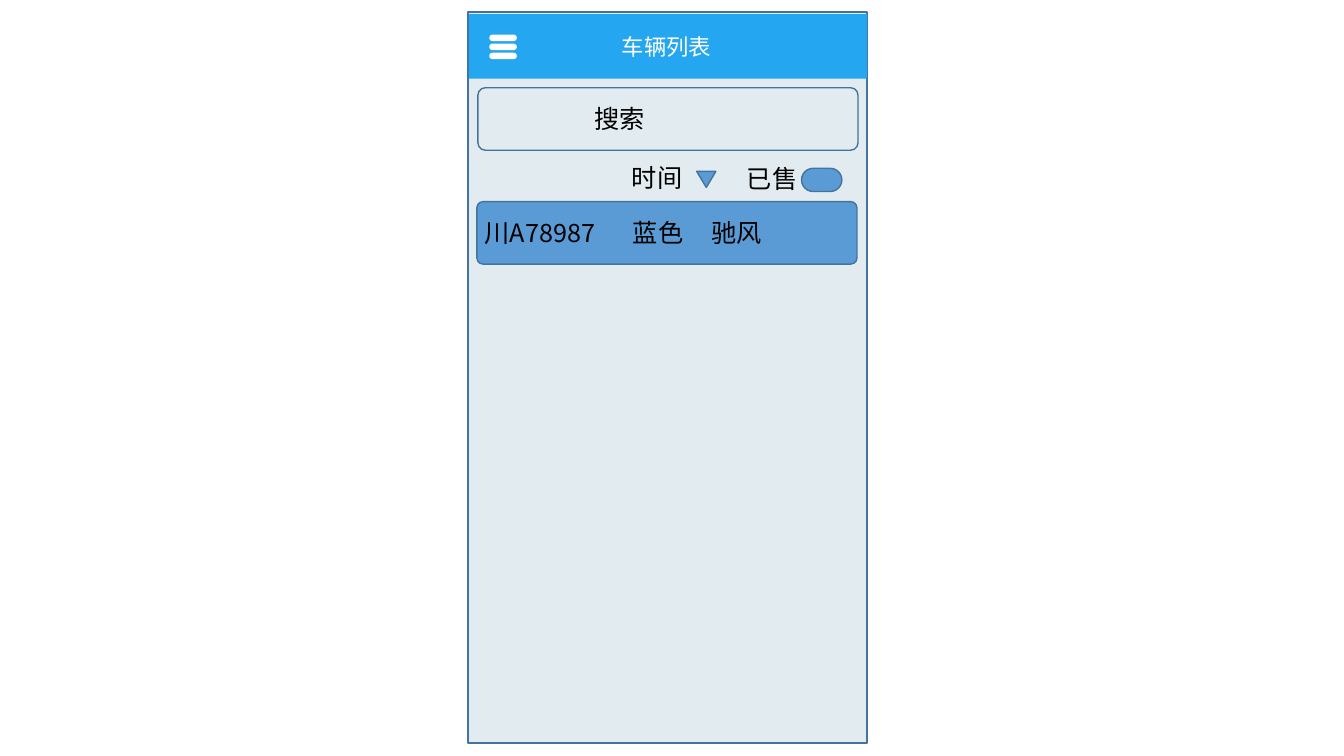
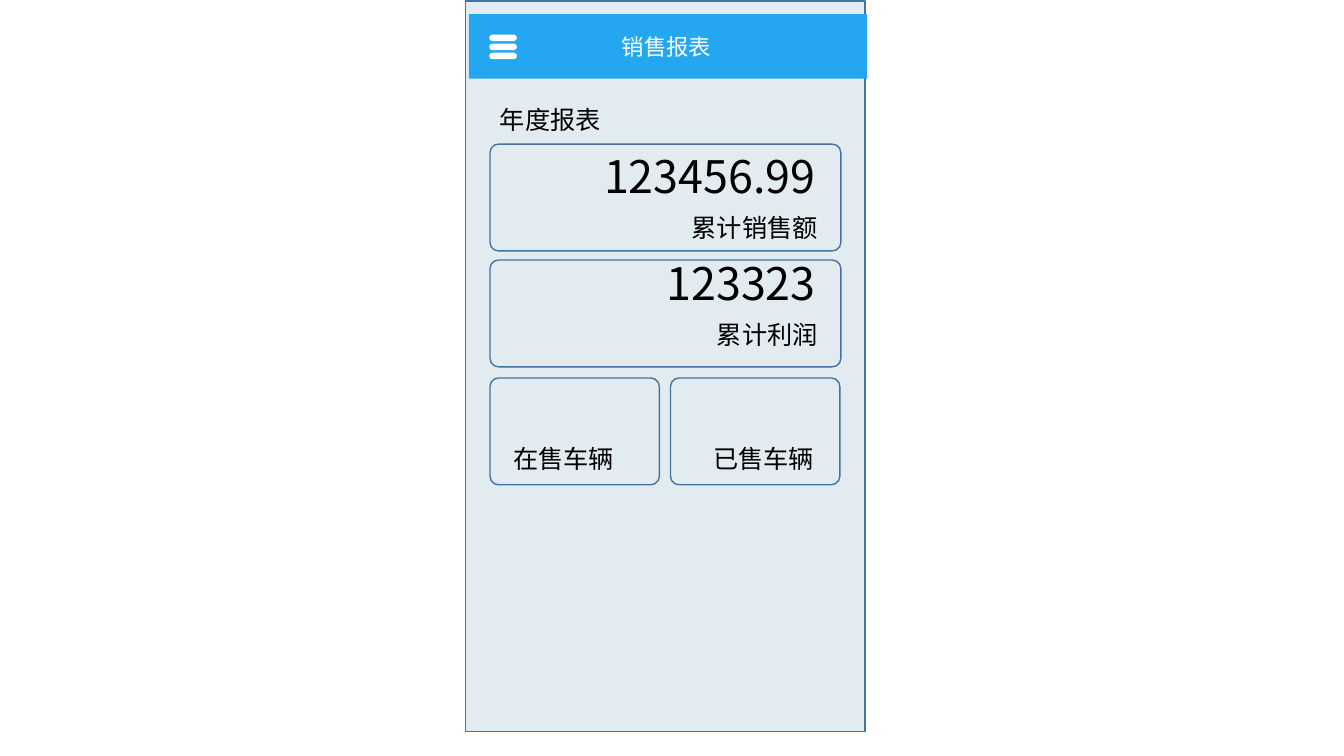
from dataclasses import dataclass
from lxml.etree import SubElement
from pptx import Presentation
from pptx.dml.color import RGBColor
from pptx.enum.shapes import MSO_SHAPE
from pptx.enum.text import MSO_ANCHOR, MSO_AUTO_SIZE, PP_ALIGN
from pptx.oxml.ns import qn
from pptx.util import Inches, Pt

SLIDE_WIDTH, SLIDE_HEIGHT = Inches(13.33), Inches(7.5)
COLUMNS, ROWS = 1333, 750
FONT = "Noto Sans CJK SC"
BODY_SIZE, TITLE_SIZE, FIGURE_SIZE = 18, 16, 32

BLACK = RGBColor(0x00, 0x00, 0x00)
WHITE = RGBColor(0xFF, 0xFF, 0xFF)
SCREEN = RGBColor(0xE2, 0xEC, 0xF0)
HEADER = RGBColor(0x24, 0xA6, 0xF1)
ACCENT = RGBColor(0x5B, 0x9B, 0xD5)
OUTLINE = RGBColor(0x43, 0x73, 0x9E)


@dataclass
class Box:
    left: int
    top: int
    width: int
    height: int

    def inner(self, left, top, width, height):
        return Box(self.left + left, self.top + top, width, height)

    def place(self):
        across, down = SLIDE_WIDTH / COLUMNS, SLIDE_HEIGHT / ROWS
        return (round(self.left * across), round(self.top * down),
                round(self.width * across), round(self.height * down))


def add_panel(page, box, kind=MSO_SHAPE.RECTANGLE, fill=None, line=OUTLINE, corner=None):
    panel = page.shapes.add_shape(kind, *box.place())
    panel.shadow.inherit = False
    if corner is not None:
        panel.adjustments[0] = corner
    if fill is None:
        panel.fill.background()
    else:
        panel.fill.solid()
        panel.fill.fore_color.rgb = fill
    if line is None:
        panel.line.fill.background()
    else:
        panel.line.color.rgb = line
        panel.line.width = Pt(1)
    return panel


def add_rounded(page, box, corner, fill=None, line=OUTLINE):
    return add_panel(page, box, MSO_SHAPE.ROUNDED_RECTANGLE, fill, line, corner)


def write(frame, text, size, color, align):
    frame.word_wrap = True
    frame.auto_size = MSO_AUTO_SIZE.NONE
    frame.vertical_anchor = MSO_ANCHOR.TOP
    para = frame.paragraphs[0]
    para.alignment = align
    span = para.add_run()
    span.text = text
    span.font.size = Pt(size)
    span.font.color.rgb = color
    span.font.name = FONT
    SubElement(span._r.get_or_add_rPr(), qn("a:ea")).set("typeface", FONT)


def add_label(page, box, text, size=BODY_SIZE, align=PP_ALIGN.LEFT):
    label = page.shapes.add_textbox(*box.place())
    write(label.text_frame, text, size, BLACK, align)


def draw_header(page, box, text):
    add_panel(page, box, fill=HEADER, line=None)
    for bar in range(3):
        add_rounded(page, box.inner(21, 21 + 9 * bar, 26, 5), 0.5, WHITE, WHITE)
    title = page.shapes.title
    title.left, title.top, title.width, title.height = box.inner(124, 14, 144, 37).place()
    write(title.text_frame, text, TITLE_SIZE, WHITE, PP_ALIGN.CENTER)
    title.element.getparent().append(title.element)


def add_screen(deck, text, left, top):
    page = deck.slides.add_slide(deck.slide_layouts[5])
    add_panel(page, Box(left, top, 396, 725), fill=SCREEN)
    draw_header(page, Box(465, 14, 395, 64), text)
    return page


def draw_search(page, box):
    add_rounded(page, box, 0.12)
    add_label(page, box.inner(106, 11, 173, 40), "搜索")


def draw_filters(page, box):
    add_label(page, box.inner(0, 0, 77, 40), "时间")
    arrow = add_panel(page, box.inner(74, 14, 19, 16), MSO_SHAPE.ISOSCELES_TRIANGLE, ACCENT)
    arrow.rotation = 180
    add_label(page, box.inner(114, 1, 85, 40), "已售")
    add_rounded(page, box.inner(178, 11, 40, 23), 0.5, ACCENT)


def draw_vehicle(page, box, plate, color, model):
    add_rounded(page, box, 0.1, ACCENT)
    for text, left, width in ((plate, -2, 137), (color, 145, 70), (model, 223, 70)):
        add_label(page, box.inner(left, 11, width, 40), text)


def draw_total(page, box, figure, caption, lift):
    add_rounded(page, box, 0.08)
    add_label(page, box.inner(35, -lift, 298, 64), figure, FIGURE_SIZE, PP_ALIGN.RIGHT)
    add_label(page, box.inner(15, 63 - lift, 320, 40), caption, align=PP_ALIGN.RIGHT)


def draw_tile(page, box, caption, inset, align):
    add_rounded(page, box, 0.08)
    add_label(page, box.inner(inset, 60, 153, 40), caption, align=align)


def build_vehicle_list(deck):
    page = add_screen(deck, "车辆列表", 464, 12)
    draw_search(page, Box(474, 87, 377, 62))
    draw_filters(page, Box(617, 156, 218, 41))
    draw_vehicle(page, Box(473, 200, 377, 62), "川A78987", "蓝色", "驰风")


def build_sales_report(deck):
    page = add_screen(deck, "销售报表", 462, 1)
    report = Box(486, 99, 348, 382)
    add_label(page, report.inner(0, 0, 197, 41), "年度报表")
    draw_total(page, report.inner(0, 44, 348, 106), "123456.99", "累计销售额", 0)
    draw_total(page, report.inner(0, 159, 348, 106), "123323", "累计利润", 9)
    draw_tile(page, report.inner(0, 276, 168, 106), "在售车辆", 13, PP_ALIGN.LEFT)
    draw_tile(page, report.inner(179, 276, 168, 106), "已售车辆", 16, PP_ALIGN.CENTER)


def main():
    deck = Presentation()
    deck.slide_width, deck.slide_height = SLIDE_WIDTH, SLIDE_HEIGHT
    build_vehicle_list(deck)
    build_sales_report(deck)
    deck.save("out.pptx")


if __name__ == "__main__":
    main()
